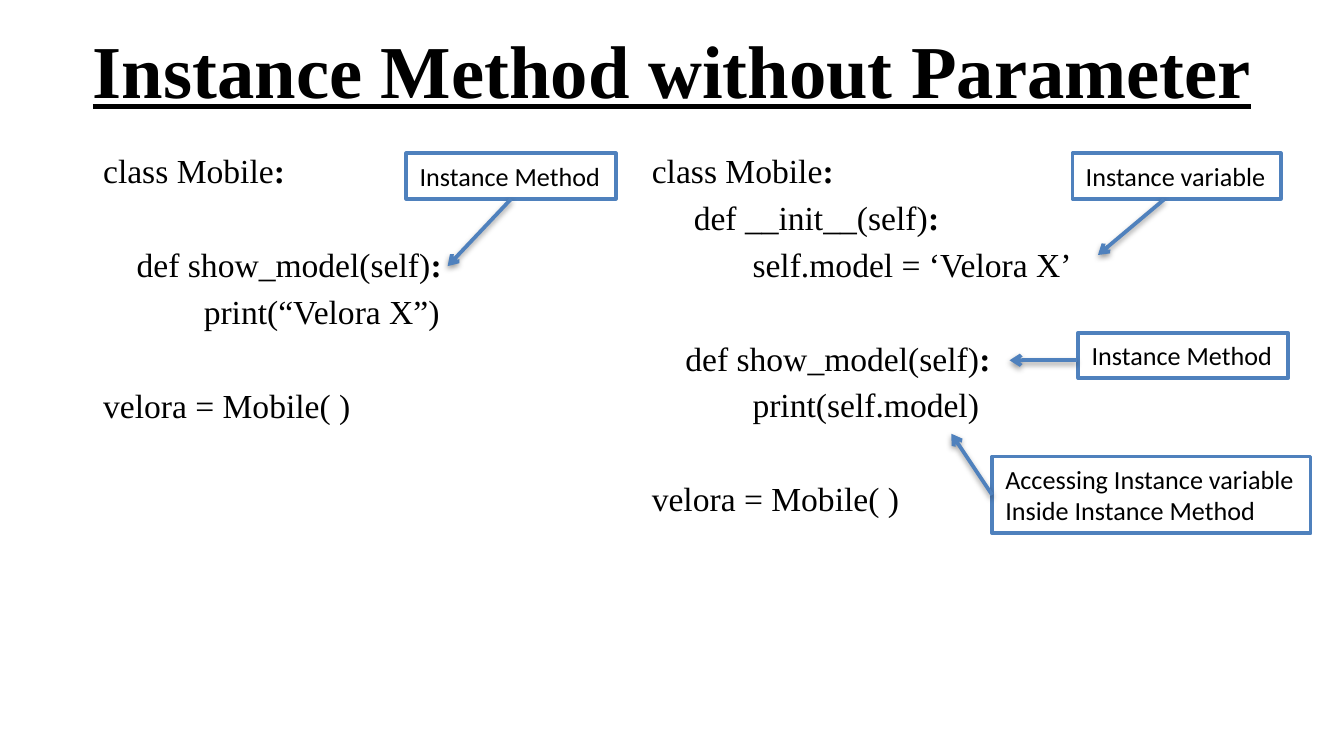
from lxml.etree import SubElement as Sub
from pptx import Presentation
from pptx.dml.color import RGBColor
from pptx.enum.shapes import MSO_CONNECTOR as Link, MSO_SHAPE as Shape
from pptx.enum.text import MSO_ANCHOR as Anchor, MSO_AUTO_SIZE as Fit, PP_ALIGN as Align
from pptx.oxml.ns import qn
from pptx.util import Cm, Pt

BLACK = RGBColor(0, 0, 0)
WHITE = RGBColor(255, 255, 255)
BLUE = RGBColor(0x4F, 0x81, 0xBD)

SERIF = "Times New Roman"
HEAD = dict(name=SERIF, size=Pt(40), bold=True, underline=True)
CODE = dict(name=SERIF, size=Pt(18))
NOTE = dict(name="Calibri", size=Pt(14))
GAP = 3.5
PITCH = 25.2

TITLE = "Instance Method without Parameter"
LISTS = [
    (1.7, [
        "class Mobile:",
        "",
        "    def show_model(self):",
        "            print(“Velora X”)",
        "",
        "velora = Mobile( )",
    ]),
    (12.07, [
        "class Mobile:",
        "     def __init__(self):",
        "            self.model = ‘Velora X’",
        "",
        "    def show_model(self):",
        "            print(self.model)",
        "",
        "velora = Mobile( )",
    ]),
]
NOTES = [
    (["Instance Method"], (20.38, 6.29, 3.96, 0.86), (20.35, 6.81), (19.08, 6.81), None),
    (["Instance Method"], (7.68, 2.9, 3.96, 0.86), (9.66, 3.76), (8.46, 5.03), 2),
    (["Accessing Instance variable", "Inside Instance Method"],
     (18.75, 8.63, 6.02, 1.45), (18.75, 9.36), (17.98, 8.2), 1),
    (["Instance variable"], (20.27, 2.9, 3.94, 0.86), (22, 3.77), (20.75, 4.82), None),
]


def put(para, text, form, **more):
    run = para.add_run()
    run.text = text
    for key, val in {**form, **more}.items():
        setattr(run.font, key, val)
    run.font.color.rgb = BLACK


def add_box(slide, area):
    frame = slide.shapes.add_textbox(*map(Cm, area)).text_frame
    frame.word_wrap = True
    return frame


def add_title(slide):
    frame = add_box(slide, (1.27, 0.1, 22.86, 2.39))
    frame.vertical_anchor = Anchor.MIDDLE
    frame.paragraphs[0].alignment = Align.CENTER
    put(frame.paragraphs[0], TITLE, HEAD)


def add_code(slide, left, lines):
    frame = add_box(slide, (left, 2.71, 9.5, 9.42))
    para, skip = frame.paragraphs[0], 0
    for row, line in enumerate(lines):
        if not line:
            skip += PITCH
            continue
        if row:
            para = frame.add_paragraph()
            para.space_before = Pt(GAP + skip)
        skip = 0
        put(para, line.removesuffix(":"), CODE)
        if line.endswith(":"):
            put(para, ":", CODE, bold=True)


def add_note(slide, lines, area):
    box = slide.shapes.add_shape(Shape.RECTANGLE, *map(Cm, area))
    box.shadow.inherit = False
    box.fill.solid()
    box.fill.fore_color.rgb = WHITE
    box.line.color.rgb = BLUE
    box.line.width = Pt(2)
    frame = box.text_frame
    frame.word_wrap = False
    frame.auto_size = Fit.SHAPE_TO_FIT_TEXT
    frame.vertical_anchor = Anchor.TOP
    for row, line in enumerate(lines):
        para = frame.add_paragraph() if row else frame.paragraphs[0]
        para.alignment = Align.LEFT
        put(para, line, NOTE)
    return box


def add_arrow(slide, box, start, tip, side):
    arrow = slide.shapes.add_connector(Link.STRAIGHT, *map(Cm, start + tip))
    if side is not None:
        arrow.begin_connect(box, side)
    arrow.line.color.rgb = BLUE
    arrow.line.width = Pt(2)
    props = arrow.line._get_or_add_ln()
    Sub(props, qn("a:tailEnd"), type="arrow")
    glow = Sub(props.getparent(), qn("a:effectLst"))
    shade = Sub(glow, qn("a:outerShdw"), blurRad=str(Pt(3.1)), dist=str(Pt(1.6)),
                dir="5400000", rotWithShape="0")
    tint = Sub(shade, qn("a:srgbClr"), val=str(BLACK))
    Sub(tint, qn("a:alpha"), val="38000")


def main():
    deck = Presentation()
    deck.slide_width, deck.slide_height = Cm(25.4), Cm(14.29)
    slide = deck.slides.add_slide(deck.slide_layouts[6])
    add_title(slide)
    for left, lines in LISTS:
        add_code(slide, left, lines)
    for lines, area, start, tip, side in NOTES:
        box = add_note(slide, lines, area)
        add_arrow(slide, box, start, tip, side)
    deck.save("out.pptx")


if __name__ == "__main__":
    main()
